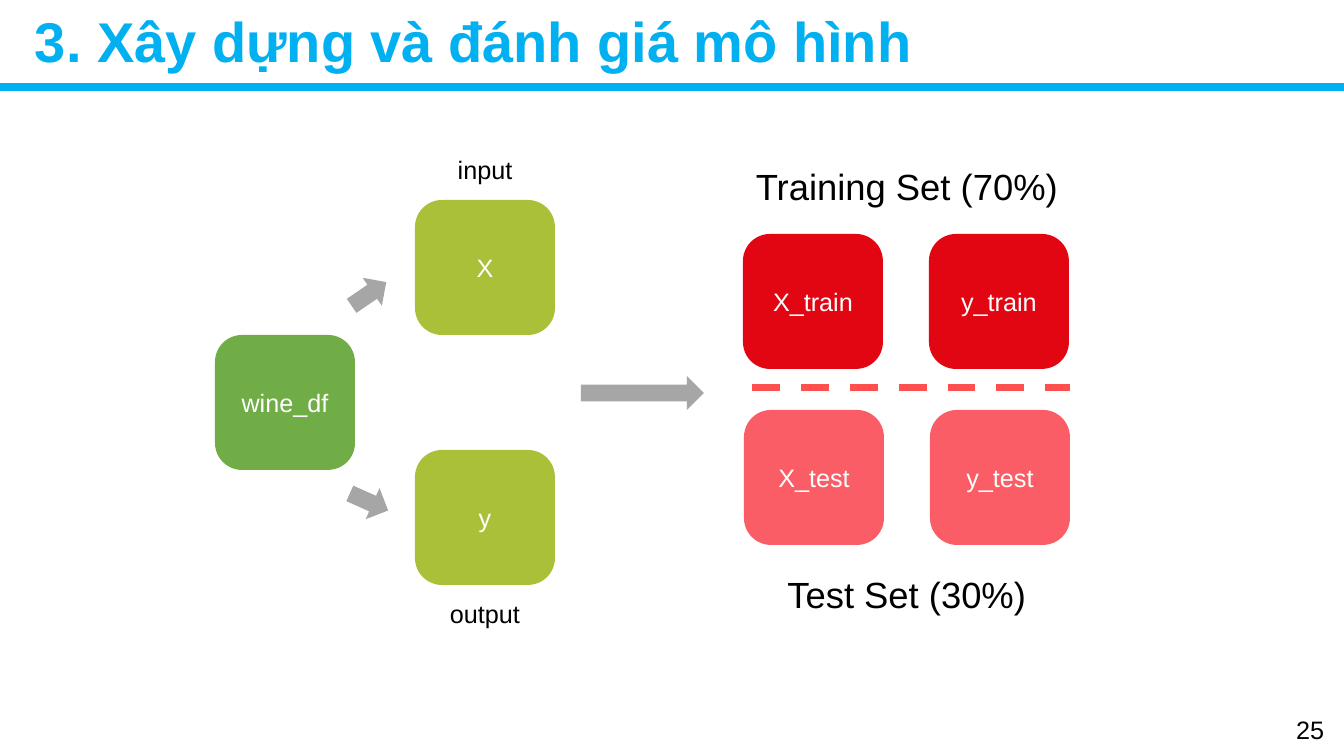
from pptx import Presentation
from pptx.dml.color import RGBColor
from pptx.enum.dml import MSO_LINE
from pptx.enum.shapes import MSO_CONNECTOR, MSO_SHAPE
from pptx.enum.text import MSO_ANCHOR as Anchor, PP_ALIGN as Align
from pptx.oxml.ns import qn
from pptx.util import Emu, Pt
from lxml import etree

FONT = "Arial"
BLACK = RGBColor(0x00, 0x00, 0x00)
WHITE = RGBColor(0xFF, 0xFF, 0xFF)
BLUE = RGBColor(0x00, 0xB0, 0xF0)
GREEN = RGBColor(0x70, 0xAD, 0x47)
OLIVE = RGBColor(0xA9, 0xC0, 0x38)
RED = RGBColor(0xE2, 0x06, 0x13)
PINK = RGBColor(0xFB, 0x5D, 0x66)
DASH_RED = RGBColor(0xFF, 0x50, 0x50)
GREY = RGBColor(0xA6, 0xA6, 0xA6)

SLIDE_WIDTH, SLIDE_HEIGHT = 1344, 756
BLOCK_WIDTH, BLOCK_HEIGHT = 140, 135
BLOCK_ROUNDING = 0.2
ARROW_HEIGHT = 34
SET_STEP = 186  # from an X block to the y block beside it

TITLE = "3. Xây dựng và đánh giá mô hình"
PAGE_NUMBER = "25"

# text, left, top, fill
SOURCE_BLOCKS = [
    ("wine_df", 215, 335, GREEN),
    ("X", 415, 200, OLIVE),
    ("y", 415, 450, OLIVE),
]
# texts from left to right, first left, top, fill
SET_ROWS = [
    (("X_train", "y_train"), 743, 234, RED),
    (("X_test", "y_test"), 744, 410, PINK),
]
# left, top, width, rotation
ARROWS = [
    (348, 277, 42, 325.5),
    (348, 485, 42, 24),
    (581, 376, 123, 0),
]
# text, centre, top, width, height, size
LABELS = [
    ("input", 485, 149, 76, 40, 18),
    ("output", 485, 593, 90, 40, 18),
    ("Training Set (70%)", 907, 159, 326, 54, 26),
    ("Test Set (30%)", 907, 567, 262, 54, 26),
]
# left, right, middle, colour, weight, dash
RULES = [
    (0, SLIDE_WIDTH, 87, BLUE, 6, None),
    (752, 1070, 388, DASH_RED, 5, MSO_LINE.DASH),
]


def px(length):
    return Emu(round(length * 914400 / 100.8))


def write(shape, text, size, color, align, anchor=Anchor.MIDDLE, bold=False):
    frame = shape.text_frame
    frame.vertical_anchor = anchor
    paragraph = frame.paragraphs[0]
    paragraph.alignment = align
    run = paragraph.add_run()
    run.text = text
    run.font.name = FONT
    run.font.size = Pt(size)
    run.font.bold = bold
    run.font.color.rgb = color
    return paragraph


def add_text(slide, text, box, size, color, align, wrap=True, **style):
    text_box = slide.shapes.add_textbox(*map(px, box))
    text_box.text_frame.word_wrap = wrap
    return write(text_box, text, size, color, align, **style)


def add_filled(slide, kind, box, fill):
    shape = slide.shapes.add_shape(kind, *map(px, box))
    shape.shadow.inherit = False
    shape.fill.solid()
    shape.fill.fore_color.rgb = fill
    shape.line.fill.background()
    return shape


def add_block(slide, text, left, top, fill):
    box = (left, top, BLOCK_WIDTH, BLOCK_HEIGHT)
    block = add_filled(slide, MSO_SHAPE.ROUNDED_RECTANGLE, box, fill)
    block.adjustments[0] = BLOCK_ROUNDING
    write(block, text, 18, WHITE, Align.CENTER)


def add_rule(slide, left, right, middle, color, weight, dash):
    ends = map(px, (left, middle, right, middle))
    rule = slide.shapes.add_connector(MSO_CONNECTOR.STRAIGHT, *ends)
    rule.line.color.rgb = color
    rule.line.width = Pt(weight)
    if dash:
        rule.line.dash_style = dash
    etree.SubElement(rule._element.spPr, qn("a:effectLst"))


def main():
    presentation = Presentation()
    presentation.slide_width = px(SLIDE_WIDTH)
    presentation.slide_height = px(SLIDE_HEIGHT)
    slide = presentation.slides.add_slide(presentation.slide_layouts[6])

    title = add_text(slide, TITLE, (25, 6, 1291, 76), 40, BLUE, Align.LEFT, bold=True)
    title.line_spacing = 0.9
    add_text(slide, PAGE_NUMBER, (1246, 709, 88, 40), 18, BLACK, Align.RIGHT,
             anchor=Anchor.TOP)

    for block in SOURCE_BLOCKS:
        add_block(slide, *block)
    for texts, left, top, fill in SET_ROWS:
        for column, text in enumerate(texts):
            add_block(slide, text, left + column * SET_STEP, top, fill)

    for left, top, width, rotation in ARROWS:
        box = (left, top, width, ARROW_HEIGHT)
        arrow = add_filled(slide, MSO_SHAPE.RIGHT_ARROW, box, GREY)
        arrow.rotation = rotation

    for text, centre, top, width, height, size in LABELS:
        box = (centre - width / 2, top, width, height)
        add_text(slide, text, box, size, BLACK, Align.CENTER, wrap=False,
                 anchor=Anchor.TOP)

    for rule in RULES:
        add_rule(slide, *rule)

    presentation.save("out.pptx")


if __name__ == "__main__":
    main()
